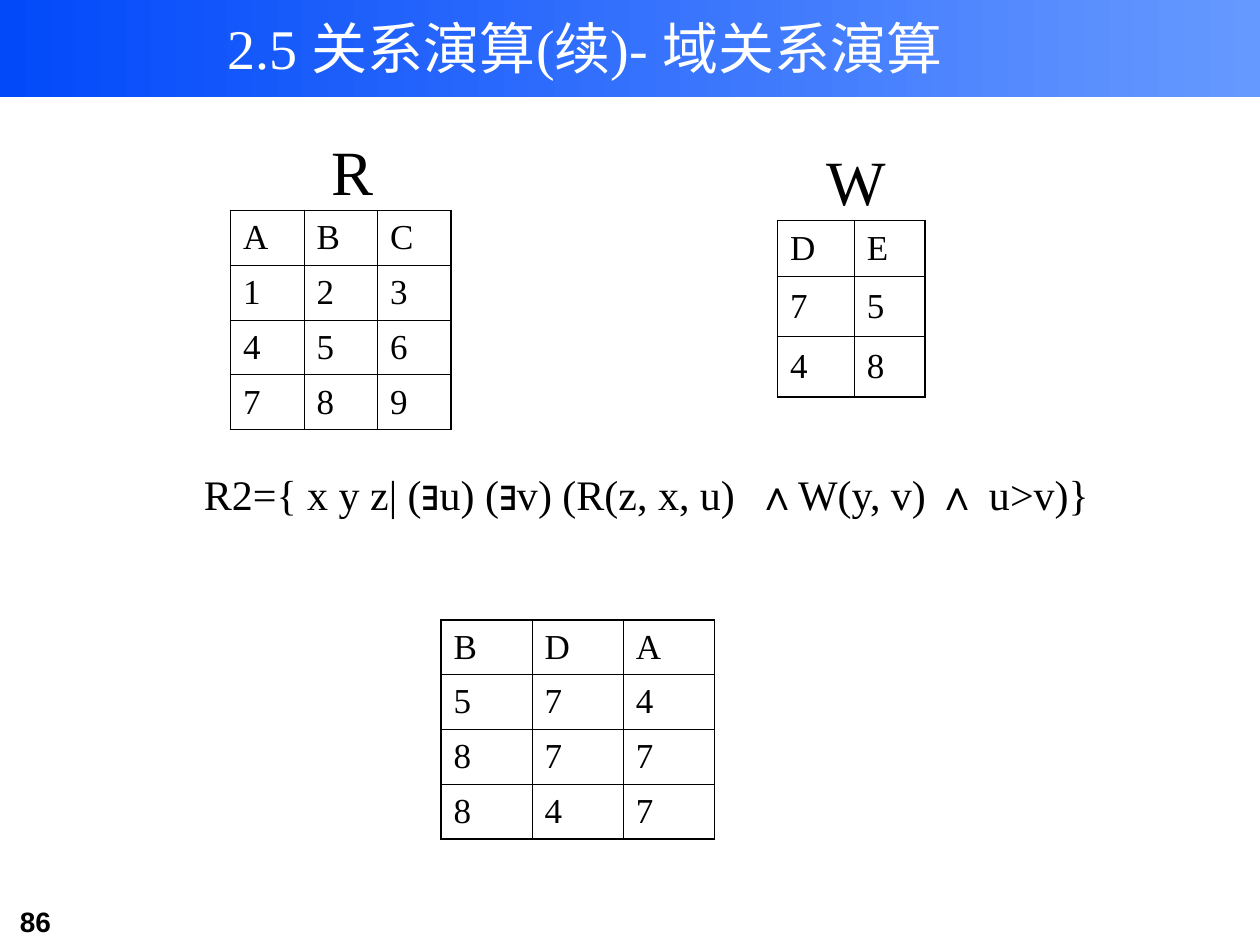
from dataclasses import dataclass

from lxml import etree
from pptx import Presentation
from pptx.dml.color import RGBColor
from pptx.enum import shapes, text
from pptx.oxml import ns
from pptx.util import Inches, Pt


@dataclass(frozen=True)
class Theme:
    ink: str = "000000"
    paper: str = "FFFFFF"
    band: tuple = ("0249FA", "6699FF")
    serif: str = "Times New Roman"
    sans: str = "Arial"
    title: int = 32
    relation: int = 36
    formula: int = 24
    cell: int = 20
    number: int = 16
    outer_line: float = 1.08
    inner_line: float = 0.45


THEME = Theme()


def write(frame, pieces, size, color=THEME.ink, align=text.PP_ALIGN.CENTER):
    """Fill the first paragraph with (wording, font) pieces."""
    frame.word_wrap = True
    paragraph = frame.paragraphs[0]
    paragraph.alignment = align
    for wording, font in pieces:
        run = paragraph.add_run()
        run.text = wording
        run.font.name = font
        run.font.size = Pt(size)
        run.font.color.rgb = RGBColor.from_string(color)


def draw_border(cell, side, width):
    line = etree.SubElement(cell._tc.get_or_add_tcPr(), ns.qn(f"a:ln{side}"), w=str(Pt(width)))
    fill = etree.SubElement(line, ns.qn("a:solidFill"))
    etree.SubElement(fill, ns.qn("a:srgbClr"), val=THEME.ink)


prs = Presentation()
prs.slide_width, prs.slide_height = Inches(10), Inches(7.5)
slide = prs.slides.add_slide(prs.slide_layouts[5])

# Header band, behind the title
band = slide.shapes.add_shape(shapes.MSO_SHAPE.RECTANGLE, 0, 0, prs.slide_width, Inches(0.77))
band.shadow.inherit = False
band.line.fill.background()
band.fill.gradient()
band.fill.gradient_angle = 0
for stop, color, position in zip(band.fill.gradient_stops, THEME.band, (0, 1)):
    stop.color.rgb = RGBColor.from_string(color)
    stop.position = position
slide.shapes._spTree.insert(2, band._element)

title = slide.shapes.title
title.left, title.top, title.width, title.height = map(Inches, (1.04, 0.04, 7.21, 0.67))
title.text_frame.vertical_anchor = text.MSO_ANCHOR.MIDDLE
write(title.text_frame, [("2.5 关系演算(续)- 域关系演算", THEME.serif)], THEME.title, THEME.paper)

# Relations: left, top, column widths, row heights, rows
relations = [
    (1.83, 1.67, [1.75 / 3] * 3, [0.435] * 4, ["ABC", "123", "456", "789"]),
    (6.17, 1.75, [0.61, 0.56], [0.44, 0.48, 0.48], ["DE", "75", "48"]),
    (3.5, 4.92, [2.17 / 3] * 3, [0.435] * 4, ["BDA", "574", "877", "847"]),
]
for left, top, widths, heights, rows in relations:
    frame = slide.shapes.add_table(len(rows), len(widths), Inches(left), Inches(top),
                                   Inches(sum(widths)), Inches(sum(heights)))
    table = frame.table
    table.first_row = table.horz_banding = False
    for column, width in zip(table.columns, widths):
        column.width = Inches(width)
    for r, (values, height) in enumerate(zip(rows, heights)):
        table.rows[r].height = Inches(height)
        for c, value in enumerate(values):
            cell = table.cell(r, c)
            cell.vertical_anchor = text.MSO_ANCHOR.MIDDLE
            write(cell.text_frame, [(value, THEME.serif)], THEME.cell, align=text.PP_ALIGN.LEFT)
            edges = {"L": c == 0, "R": c == len(widths) - 1, "T": r == 0, "B": r == len(rows) - 1}
            for side, is_outer in edges.items():
                draw_border(cell, side, THEME.outer_line if is_outer else THEME.inner_line)
            cell.fill.background()

for name, left, top in (("R", 2.42, 1), ("W", 6.42, 1.08)):
    label = slide.shapes.add_textbox(Inches(left), Inches(top), Inches(0.75), Inches(0.7))
    write(label.text_frame, [(name, THEME.serif)], THEME.relation)

formula = slide.shapes.add_textbox(Inches(1.42), Inches(3.67), Inches(7.42), Inches(0.5))
formula_parts = ["R2={ x y z| (", "∃", "u) (", "∃", "v) (R(z, x, u)  ", "∧", "W(y, v) ", "∧", " u>v)}"]
write(formula.text_frame,
      [(part, THEME.sans if part in "∃∧" else THEME.serif) for part in formula_parts],
      THEME.formula)

page_number = slide.shapes.add_textbox(Inches(0.06), Inches(7.13), Inches(1.22), Inches(0.37))
write(page_number.text_frame, [("86", THEME.sans)], THEME.number, align=text.PP_ALIGN.LEFT)
page_number.text_frame.paragraphs[0].runs[0].font.bold = True

prs.save("out.pptx")
